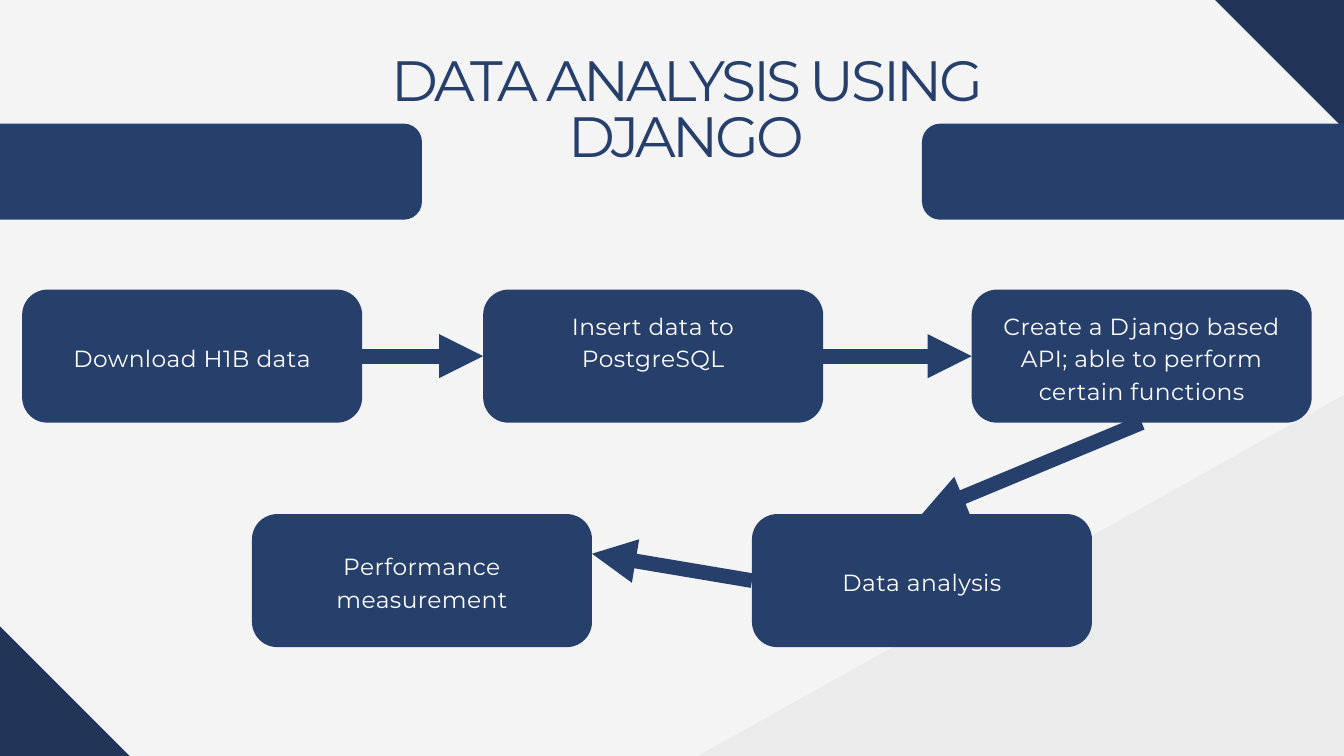
from lxml import etree
from pptx import Presentation
from pptx.dml.color import RGBColor
from pptx.enum.shapes import MSO_CONNECTOR, MSO_SHAPE
from pptx.enum.text import MSO_ANCHOR, MSO_AUTO_SIZE, PP_ALIGN
from pptx.oxml.ns import qn
from pptx.util import Inches, Pt

COLORS = {"bg": "F4F4F4", "band": "545454", "corner": "213559", "navy": "263F6B", "white": "FFFFFF"}


def add_block(kind, box, color, rotation=0):
    sp = s.shapes.add_shape(kind, *map(Inches, box))
    sp.shadow.inherit = False
    sp.fill.solid()
    sp.fill.fore_color.rgb = RGBColor.from_string(COLORS[color])
    sp.line.fill.background()
    sp.rotation = rotation
    if kind == MSO_SHAPE.ROUNDED_RECTANGLE:
        sp.adjustments[0] = 0.19
    return sp


def set_text(sp, text, size, leading, spacing, color):
    tf = sp.text_frame
    tf.word_wrap = True
    tf.auto_size = MSO_AUTO_SIZE.NONE
    tf.vertical_anchor = MSO_ANCHOR.TOP
    tf.margin_left = tf.margin_right = tf.margin_top = tf.margin_bottom = 0
    p = tf.paragraphs[0]
    r = p.add_run()
    r.text = text
    r._r.get_or_add_rPr().set("spc", str(spacing))
    p.alignment = PP_ALIGN.CENTER
    p.line_spacing = Pt(leading)
    p.font.name = "Montserrat"
    p.font.size = Pt(size)
    p.font.color.rgb = RGBColor.from_string(COLORS[color])


prs = Presentation()
prs.slide_width, prs.slide_height = Inches(20), Inches(11.25)
s = prs.slides.add_slide(prs.slide_layouts[5])
s.background.fill.solid()
s.background.fill.fore_color.rgb = RGBColor.from_string(COLORS["bg"])

title = s.shapes.title
title.left, title.top, title.width, title.height = map(Inches, (5.28, 0.86, 9.86, 1.7))
set_text(title, "DATA ANALYSIS USING DJANGO", 60.8, 59.5, -360, "navy")

band = add_block(MSO_SHAPE.RECTANGLE, (-1.16, 10.24, 28.2, 5.74), "band", 330.8)
rgb = band.fill._xPr.find(".//" + qn("a:srgbClr"))
etree.SubElement(rgb, qn("a:alpha")).set("val", "5000")

for left, top in [(-2.89, 9.89), (17.11, -1.36)]:
    add_block(MSO_SHAPE.RECTANGLE, (left, top, 5.79, 2.72), "corner", 45)
for left in (-2.75, 13.72):
    add_block(MSO_SHAPE.ROUNDED_RECTANGLE, (left, 1.84, 9.03, 1.43), "navy")

STEP_W, STEP_H, INSET = 5.06, 1.98, 0.44
steps = [
    ("Download H1B data", 0.33, 4.31, 5.05, 0.45),
    ("Insert data to PostgreSQL", 7.19, 4.31, 4.57, 0.93),
    ("Create a Django based API; able to perform certain functions", 14.46, 4.31, 4.57, 1.41),
    ("Data analysis", 11.19, 7.65, 8.39, 0.45),
    ("Performance measurement", 3.75, 7.65, 8.15, 0.93),
]
for text, left, top, text_top, text_h in steps:
    add_block(MSO_SHAPE.ROUNDED_RECTANGLE, (left, top, STEP_W, STEP_H), "navy")
    label = s.shapes.add_textbox(*map(Inches, (left + INSET, text_top, STEP_W - 2 * INSET, text_h)))
    set_text(label, text, 25, 35, 50, "white")

arrows = [
    (5.39, 5.3, 7.19, 5.3),
    (12.25, 5.3, 14.46, 5.3),
    (16.99, 6.29, 13.72, 7.65),
    (11.19, 8.64, 8.81, 8.24),
]
for ends in arrows:
    arrow = s.shapes.add_connector(MSO_CONNECTOR.STRAIGHT, *map(Inches, ends))
    arrow.line.color.rgb = RGBColor.from_string(COLORS["navy"])
    arrow.line.width = Pt(15.75)
    etree.SubElement(arrow.line._get_or_add_ln(), qn("a:tailEnd")).set("type", "triangle")
    etree.SubElement(arrow._element.spPr, qn("a:effectLst"))

prs.save("out.pptx")
